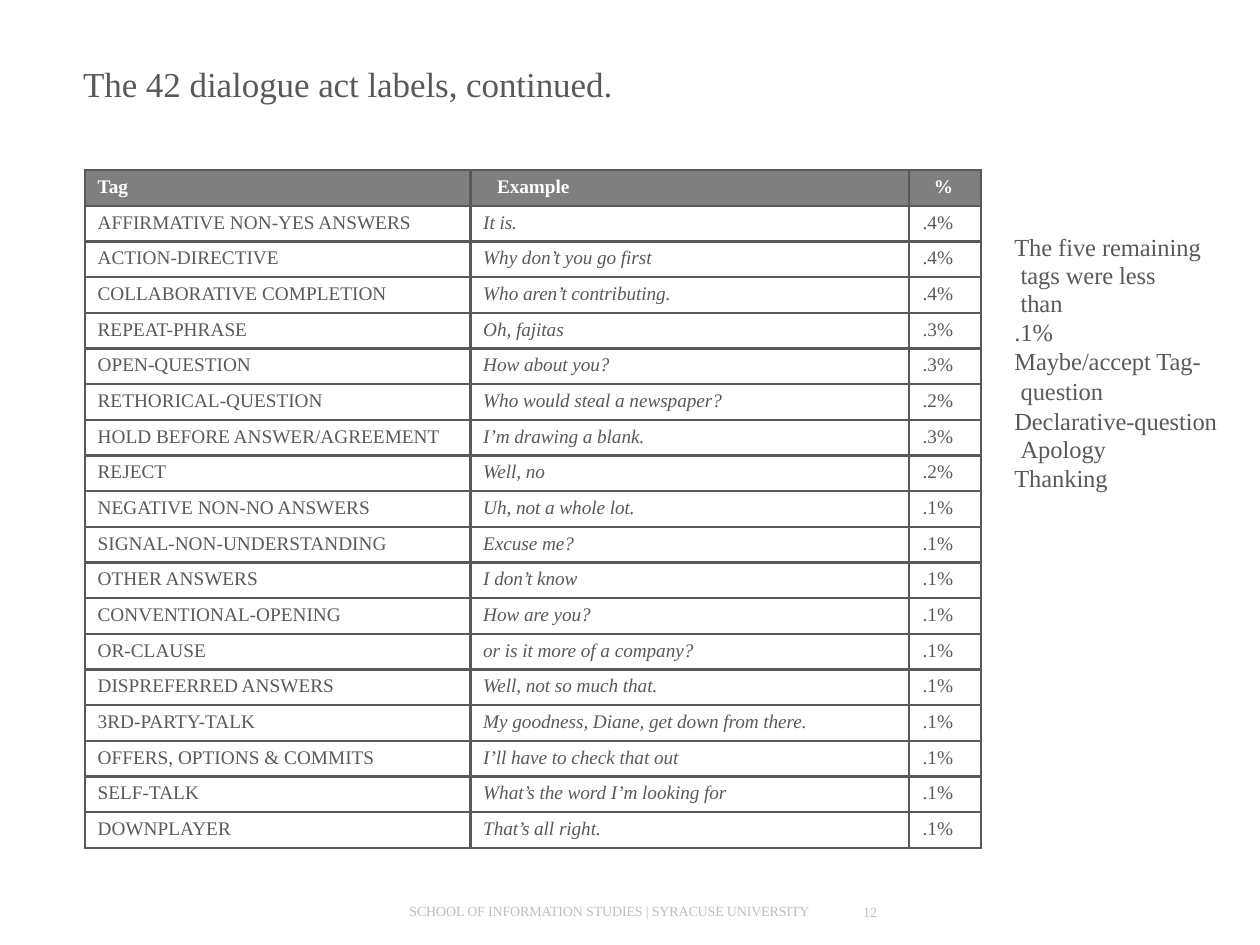
from dataclasses import dataclass

from lxml.etree import SubElement
from pptx import Presentation
from pptx.dml.color import RGBColor
from pptx.enum.text import PP_ALIGN
from pptx.oxml.ns import qn
from pptx.util import Inches, Length, Pt

COLORS = {"text": "595959", "header": "7F7F7F", "white": "FFFFFF", "footer": "BFBFBF"}
FONT = "Times New Roman"
SLIDE_WIDTH, SLIDE_HEIGHT = Inches(10), Inches(7.5)
GRID_COLUMNS, GRID_ROWS = 100, 75


@dataclass
class Act:
    tag: str
    example: str
    percent: str


@dataclass
class Label:
    text: str
    column: float
    row: float
    columns: float
    rows: float
    size: float
    color: str
    tracking: float = 0


@dataclass
class NoteLine:
    text: str
    line_spacing: Length | float
    space_before: float = 0


ACTS = [
    Act("AFFIRMATIVE NON-YES ANSWERS", "It is.", ".4%"),
    Act("ACTION-DIRECTIVE", "Why don’t you go first", ".4%"),
    Act("COLLABORATIVE COMPLETION", "Who aren’t contributing.", ".4%"),
    Act("REPEAT-PHRASE", "Oh, fajitas", ".3%"),
    Act("OPEN-QUESTION", "How about you?", ".3%"),
    Act("RETHORICAL-QUESTION", "Who would steal a newspaper?", ".2%"),
    Act("HOLD BEFORE ANSWER/AGREEMENT", "I’m drawing a blank.", ".3%"),
    Act("REJECT", "Well, no", ".2%"),
    Act("NEGATIVE NON-NO ANSWERS", "Uh, not a whole lot.", ".1%"),
    Act("SIGNAL-NON-UNDERSTANDING", "Excuse me?", ".1%"),
    Act("OTHER ANSWERS", "I don’t know", ".1%"),
    Act("CONVENTIONAL-OPENING", "How are you?", ".1%"),
    Act("OR-CLAUSE", "or is it more of a company?", ".1%"),
    Act("DISPREFERRED ANSWERS", "Well, not so much that.", ".1%"),
    Act("3RD-PARTY-TALK", "My goodness, Diane, get down from there.", ".1%"),
    Act("OFFERS, OPTIONS & COMMITS", "I’ll have to check that out", ".1%"),
    Act("SELF-TALK", "What’s the word I’m looking for", ".1%"),
    Act("DOWNPLAYER", "That’s all right.", ".1%"),
]
LABELS = [
    Label("The 42 dialogue act labels, continued.", 6.6, 5, 48, 3.6, 20, "text", -0.07),
    Label("SCHOOL OF INFORMATION STUDIES | SYRACUSE UNIVERSITY",
          32.5, 71.6, 36, 1.5, 8, "footer", -0.1),
    Label("12", 68.5, 71.7, 2, 1.5, 8, "footer"),
]
NOTE = [
    NoteLine("The five remaining tags were less\vthan", Pt(16)),
    NoteLine(".1%", Pt(16.6)),
    NoteLine("Maybe/accept Tag-question", 1.01),
    NoteLine("Declarative-question Apology", Pt(16), 1.4),
    NoteLine("Thanking", Pt(16.6)),
]


def across(columns: float) -> Length:
    return Length(round(SLIDE_WIDTH * columns / GRID_COLUMNS))


def down(rows: float) -> Length:
    return Length(round(SLIDE_HEIGHT * rows / GRID_ROWS))


def write(paragraph, text: str, *, size: float, color: str, bold=False, italic=False,
          tracking=0.0, align=PP_ALIGN.LEFT, left=0.0, right=0.0, hanging=0.0,
          line_spacing=None, space_before=0.0) -> None:
    """Fill one paragraph; indents are inches, tracking is points."""
    properties = paragraph._p.get_or_add_pPr()
    for name, inches in (("marL", left), ("marR", right), ("indent", -hanging)):
        properties.set(name, str(Inches(inches)))
    paragraph.alignment = align
    paragraph.space_before = Pt(space_before)
    if line_spacing is not None:
        paragraph.line_spacing = line_spacing
    paragraph.text = text
    for run in paragraph.runs:
        font = run.font
        font.name, font.size, font.bold, font.italic = FONT, Pt(size), bold, italic
        font.color.rgb = RGBColor.from_string(COLORS[color])
        run._r.get_or_add_rPr().set("spc", str(round(tracking * 100)))


def add_frame(slide, column: float, row: float, columns: float, rows: float):
    box = slide.shapes.add_textbox(across(column), down(row), across(columns), down(rows))
    frame = box.text_frame
    frame.word_wrap = True
    frame.margin_left = frame.margin_top = frame.margin_right = frame.margin_bottom = 0
    return frame


def add_borders(cell, color: str, width: float) -> None:
    properties = cell._tc.get_or_add_tcPr()
    for side in ("lnL", "lnR", "lnT", "lnB"):
        line = SubElement(properties, qn(f"a:{side}"), w=str(Pt(width)))
        fill = SubElement(line, qn("a:solidFill"))
        SubElement(fill, qn("a:srgbClr"), val=COLORS[color])


def fill_cell(cell, text: str, header: bool, **text_format) -> None:
    cell.margin_left = cell.margin_right = cell.margin_bottom = 0
    cell.margin_top = Inches(0.05)
    add_borders(cell, "text", 1.5)
    if header:
        cell.fill.solid()
        cell.fill.fore_color.rgb = RGBColor.from_string(COLORS["header"])
    else:
        cell.fill.background()
    write(cell.text_frame.paragraphs[0], text, size=11, bold=header,
          color="white" if header else "text", **text_format)


def add_act_table(slide) -> None:
    widths = (30.6, 34.8, 5.7)
    row_count = len(ACTS) + 1
    height = 53.8
    table = slide.shapes.add_table(row_count, len(widths), across(6.75), down(13.5),
                                   across(sum(widths)), down(height)).table
    table.horz_banding = False
    for column, width in zip(table.columns, widths):
        column.width = across(width)
    for row in table.rows:
        row.height = down(height / row_count)
    for index, act in enumerate([Act("Tag", "Example", "%"), *ACTS]):
        header = index == 0
        tag, example, percent = table.rows[index].cells
        fill_cell(tag, act.tag, header, left=0.1)
        fill_cell(example, act.example, header, left=0.21 if header else 0.1,
                  italic=not header, tracking=-0.07)
        fill_cell(percent, act.percent, header, align=PP_ALIGN.RIGHT, right=0.22)


def add_note(slide) -> None:
    frame = add_frame(slide, 80.4, 18.5, 16.5, 18.6)
    for index, line in enumerate(NOTE):
        paragraph = frame.add_paragraph() if index else frame.paragraphs[0]
        write(paragraph, line.text, size=14, color="text", tracking=-0.05, left=0.06,
              hanging=0.05, line_spacing=line.line_spacing, space_before=line.space_before)


def main() -> None:
    presentation = Presentation()
    presentation.slide_width, presentation.slide_height = SLIDE_WIDTH, SLIDE_HEIGHT
    slide = presentation.slides.add_slide(presentation.slide_layouts[6])
    # Title and footer
    for label in LABELS:
        frame = add_frame(slide, label.column, label.row, label.columns, label.rows)
        write(frame.paragraphs[0], label.text, size=label.size, color=label.color,
              tracking=label.tracking)
    # Dialogue acts and the remark beside them
    add_act_table(slide)
    add_note(slide)
    presentation.save("out.pptx")


if __name__ == "__main__":
    main()
